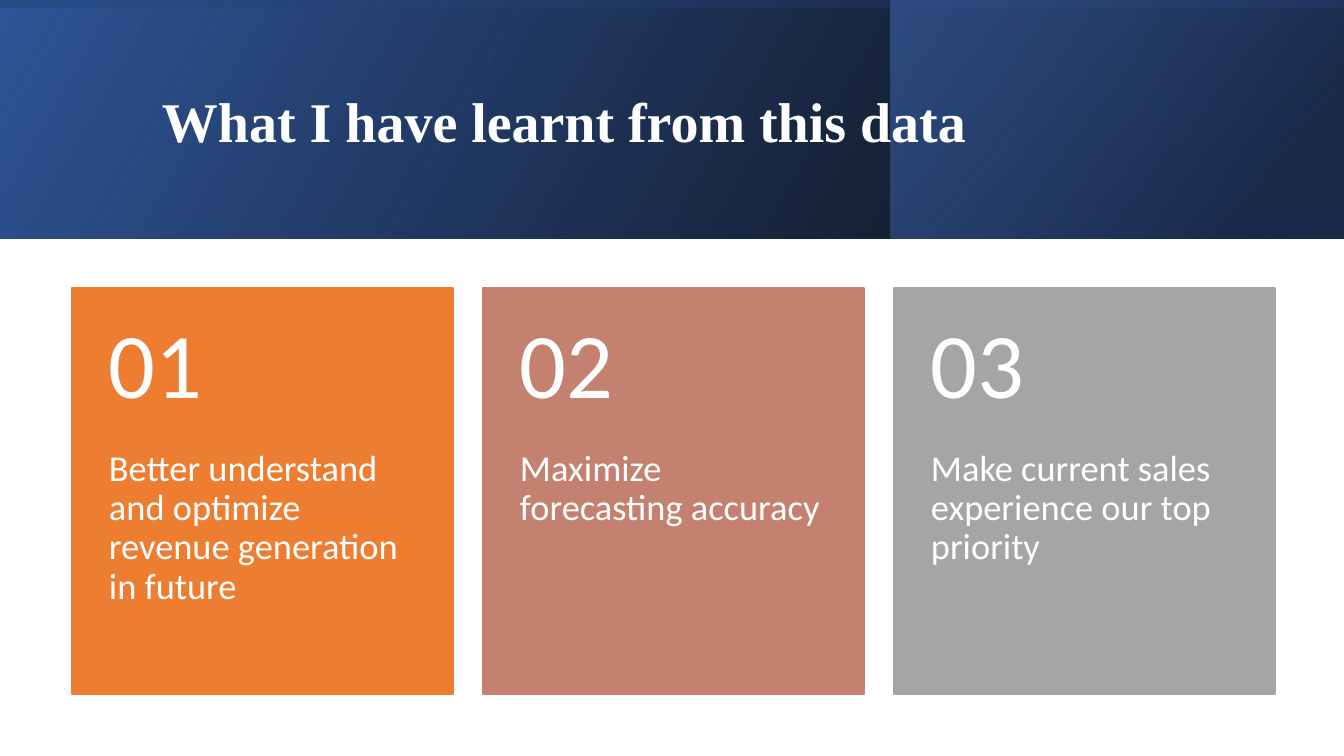
from lxml import etree
from pptx import Presentation
from pptx.dml.color import RGBColor
from pptx.enum.shapes import MSO_SHAPE
from pptx.enum.text import MSO_ANCHOR, PP_ALIGN
from pptx.oxml.ns import qn
from pptx.util import Emu, Pt

RECTANGLE = MSO_SHAPE.RECTANGLE
TOP, MIDDLE = MSO_ANCHOR.TOP, MSO_ANCHOR.MIDDLE
LEFT = PP_ALIGN.LEFT

WHITE = RGBColor(0xFF, 0xFF, 0xFF)
BLACK = RGBColor(0x00, 0x00, 0x00)
NAVY = RGBColor(0x20, 0x38, 0x64)
DEEP_BLUE = RGBColor(0x2F, 0x55, 0x97)
BLUE = RGBColor(0x44, 0x72, 0xC4)
ORANGE = RGBColor(0xED, 0x7D, 0x31)
CLAY = RGBColor(0xC4, 0x81, 0x70)
GRAY = RGBColor(0xA5, 0xA5, 0xA5)

TITLE = "What I have learnt from this data"
LESSONS = [
    ("01", "Better understand and optimize revenue generation in future", ORANGE),
    ("02", "Maximize forecasting accuracy", CLAY),
    ("03", "Make current sales experience our top priority", GRAY),
]
# (left, top, width, height), rotation, clockwise gradient angle,
# gradient stops as (position %, colour, opacity %)
HEADER_LAYERS = [
    ((0, 0, 1344, 239), 0, 330, [(0, BLACK, 96), (100, DEEP_BLUE, 100)]),
    ((891, 0, 452, 239), 0, 320, [(19, NAVY, 68), (100, BLUE, 48)]),
    ((552, -552, 239, 1344), 270, 350, [(23, DEEP_BLUE, 16), (99, BLACK, 45)]),
]

SLIDE_WIDTH, SLIDE_HEIGHT = 1344, 756
CARD_LEFT, CARD_TOP, CARD_WIDTH, CARD_HEIGHT = 72, 288, 381, 406
CARD_PITCH = 411
NUMBER_HEIGHT = 162
CARD_INSET = 37


def px(length):
    return Emu(round(length * 12192000 / SLIDE_WIDTH))


def add_rectangle(page, frame):
    box = page.shapes.add_shape(RECTANGLE, *map(px, frame))
    box.shadow.inherit = False
    return box


def add_header_layer(page, frame, rotation, angle, stops):
    """Add a mirrored rectangle with a translucent two-stop gradient."""
    layer = add_rectangle(page, frame)
    layer.rotation = rotation
    layer.line.fill.background()
    properties = layer._element.spPr
    properties.find(qn("a:xfrm")).set("flipH", "1")
    layer.fill.gradient()
    layer.fill.gradient_angle = 360 - angle
    for stop, (position, color, _) in zip(layer.fill.gradient_stops, stops):
        stop.position = position / 100
        stop.color.rgb = color
    colors = properties.findall(".//" + qn("a:gs") + "/" + qn("a:srgbClr"))
    for element, (_, _, opacity) in zip(colors, stops):
        etree.SubElement(element, qn("a:alpha")).set("val", str(opacity * 1000))


def add_text(page, frame, text, size, font, insets, anchor, bold=False):
    box = page.shapes.add_textbox(*map(px, frame))
    body = box.text_frame
    body.word_wrap = True
    body.vertical_anchor = anchor
    body.margin_left, body.margin_top, body.margin_right, body.margin_bottom = map(px, insets)
    para = body.paragraphs[0]
    para.alignment = LEFT
    para.line_spacing = 0.9
    span = para.add_run()
    span.text = text
    span.font.name = font
    span.font.size = Pt(size)
    span.font.bold = bold
    span.font.color.rgb = WHITE


def add_card(page, left, number, lesson, color):
    card = add_rectangle(page, (left, CARD_TOP, CARD_WIDTH, CARD_HEIGHT))
    card.fill.solid()
    card.fill.fore_color.rgb = color
    card.line.color.rgb = color
    card.line.width = Pt(1)
    lesson_frame = (left, CARD_TOP + NUMBER_HEIGHT, CARD_WIDTH, CARD_HEIGHT - NUMBER_HEIGHT)
    add_text(page, lesson_frame, lesson, 26, "Calibri", (CARD_INSET, 0, CARD_INSET, 36), TOP)
    number_frame = (left, CARD_TOP, CARD_WIDTH, NUMBER_HEIGHT)
    add_text(page, number_frame, number, 66, "Calibri", (CARD_INSET, 18, CARD_INSET, 18), MIDDLE)


def main():
    deck = Presentation()
    deck.slide_width, deck.slide_height = px(SLIDE_WIDTH), px(SLIDE_HEIGHT)
    page = deck.slides.add_slide(deck.slide_layouts[6])
    for layer in HEADER_LAYERS:
        add_header_layer(page, *layer)
    add_text(page, (152, 38, 1072, 173), TITLE, 40, "Times New Roman",
             (10, 5, 10, 5), MIDDLE, bold=True)
    for index, lesson in enumerate(LESSONS):
        add_card(page, CARD_LEFT + index * CARD_PITCH, *lesson)
    deck.save("out.pptx")


if __name__ == "__main__":
    main()
